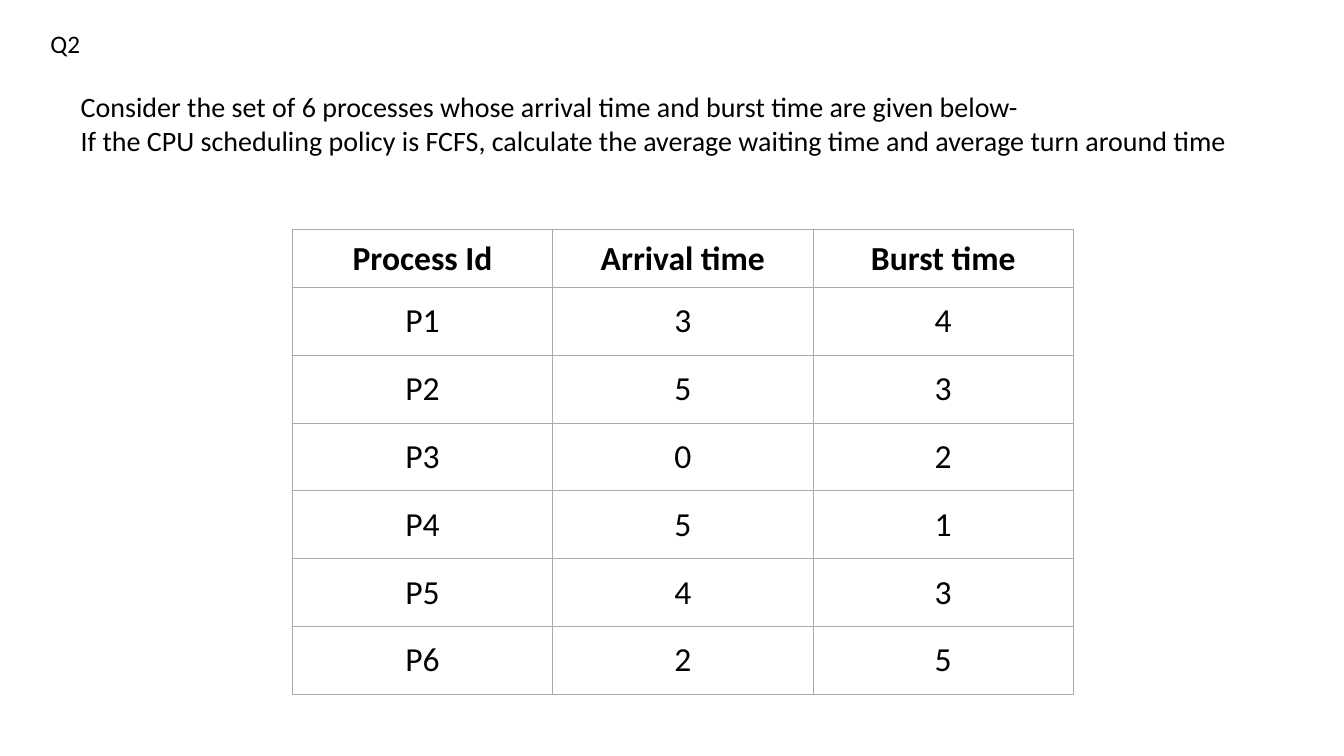
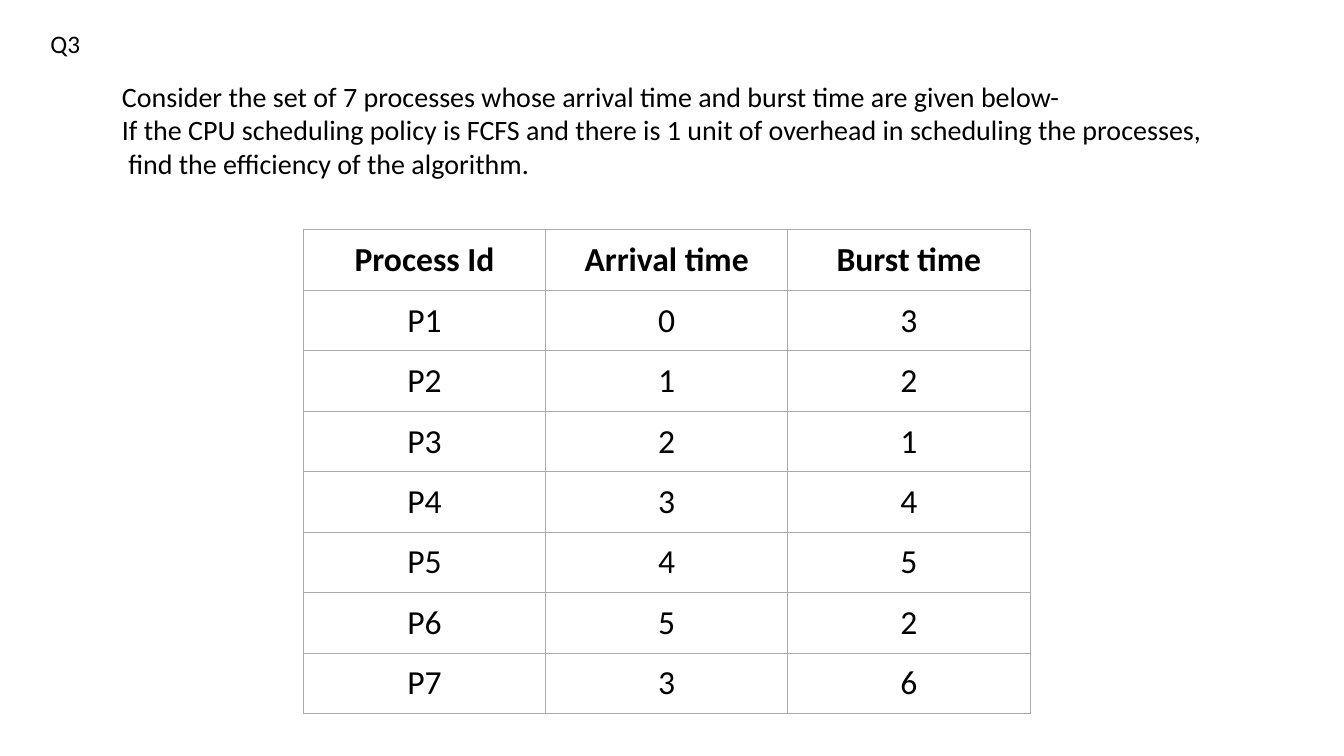
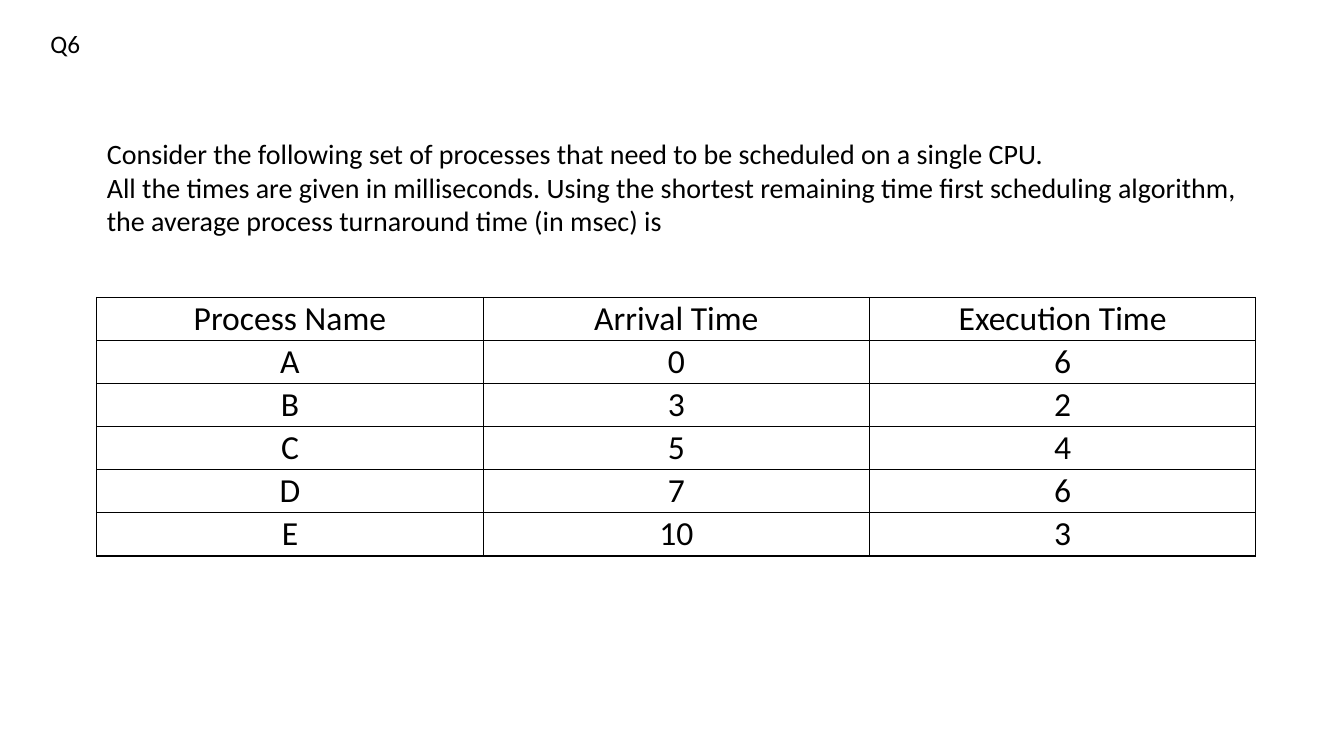
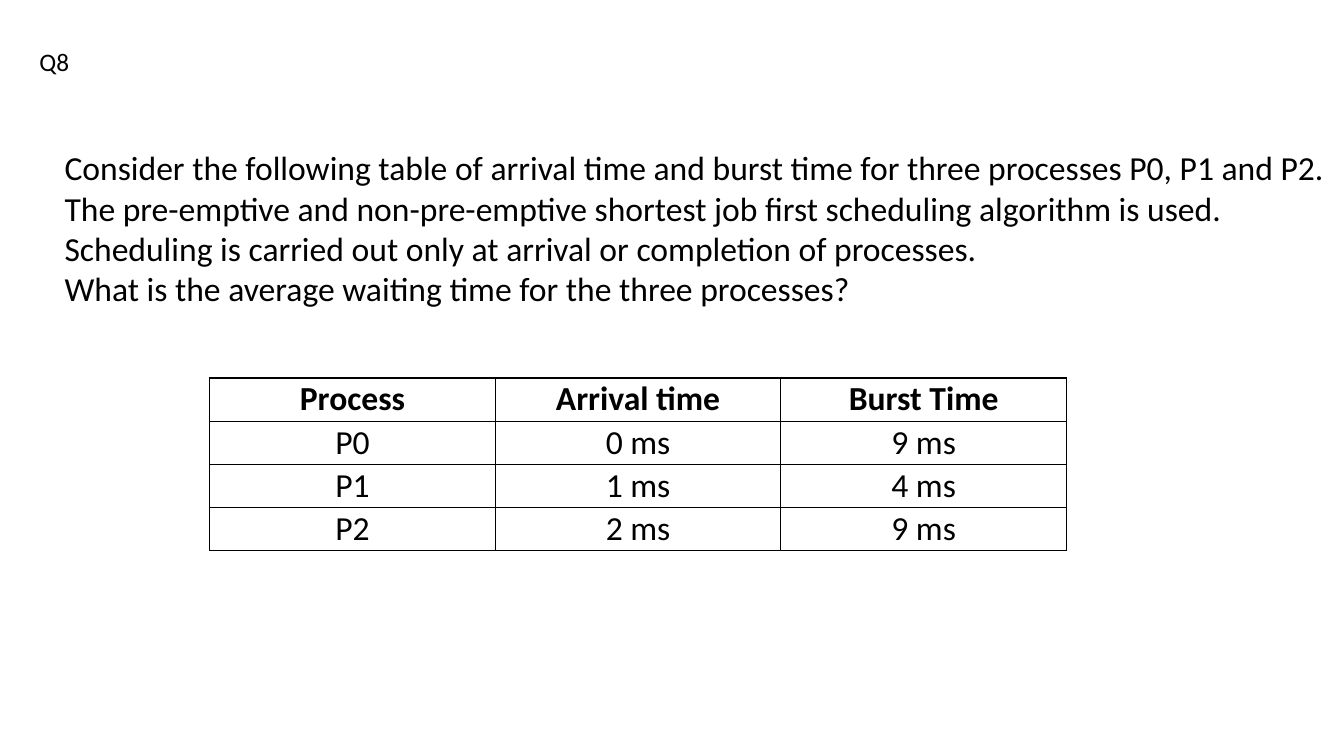
"""Build four CPU scheduling exercise slides."""
from dataclasses import dataclass

from pptx import Presentation
from pptx.dml.color import RGBColor
from pptx.enum.text import MSO_ANCHOR, MSO_AUTO_SIZE, PP_ALIGN
from pptx.oxml.ns import qn
from pptx.util import Pt
from lxml import etree

LEFT, CENTER, JUSTIFY = PP_ALIGN.LEFT, PP_ALIGN.CENTER, PP_ALIGN.JUSTIFY
TOP, MIDDLE = MSO_ANCHOR.TOP, MSO_ANCHOR.MIDDLE
NO_AUTOFIT = MSO_AUTO_SIZE.NONE
TITLE_AND_CONTENT = 1


@dataclass(frozen=True)
class Theme:
    """Colours, font and type sizes shared by all slides."""
    font: str = "Calibri"
    ink: str = "000000"
    paper: str = "FFFFFF"
    rule: str = "AAAAAA"
    label_size: float = 18
    question_size: float = 20
    large_size: float = 24


THEME = Theme()


@dataclass(frozen=True)
class Box:
    """A rectangle in points."""
    left: float
    top: float
    width: float
    height: float


@dataclass(frozen=True)
class GridStyle:
    """Border, fill and cell margins of a table."""
    border: str
    border_width: float
    margin_x: float
    margin_y: float
    filled: bool


ROOMY = GridStyle(THEME.rule, 0.75, 7.2, 5.7, True)
TIGHT = GridStyle(THEME.ink, 1, 0.75, 0.75, False)


@dataclass(frozen=True)
class Grid:
    """A table with equal columns and equal rows below its header."""
    left: float
    top: float
    column_width: float
    header_height: float
    row_height: float
    style: GridStyle
    rows: list[tuple[str, ...]]
    bold_header: bool = True


@dataclass(frozen=True)
class Exercise:
    """The content of one slide."""
    label: str
    question_box: Box
    lines: list[str]
    grid: Grid
    question_size: float = THEME.question_size
    alignment: PP_ALIGN = LEFT
    label_box: Box = Box(28.8, 16.6, 36, 28.8)


def numbered(*values: tuple[int, int]) -> list[tuple[str, ...]]:
    """Return a header and one row for each process, P1 upwards."""
    header = ("Process Id", "Arrival time", "Burst time")
    return [header] + [(f"P{number}", str(arrival), str(burst))
                       for number, (arrival, burst) in enumerate(values, 1)]


EXERCISES = [
    Exercise(
        "Q2", Box(50.4, 60.5, 841.7, 55.4),
        ["Consider the set of 6 processes whose arrival time and burst time are given below-",
         "If the CPU scheduling policy is FCFS, calculate the average waiting time "
         "and average turn around time"],
        Grid(208.8, 164.2, 186, 41, 48.5, ROOMY,
             numbered((3, 4), (5, 3), (0, 2), (5, 1), (4, 3), (2, 5)))),
    Exercise(
        "Q3", Box(79.9, 52.6, 793.4, 79.9),
        ["Consider the set of 7 processes whose arrival time and burst time are given below-",
         "If the CPU scheduling policy is FCFS and there is 1 unit of overhead "
         "in scheduling the processes,",
         " find the efficiency of the algorithm."],
        Grid(216.7, 164.2, 173, 43.2, 43.2, ROOMY,
             numbered((0, 3), (1, 2), (2, 1), (3, 4), (4, 5), (5, 2), (3, 6)))),
    Exercise(
        "Q6", Box(69.1, 93.6, 834.5, 79.9),
        ["Consider the following set of processes that need to be scheduled on a single CPU.",
         "All the times are given in milliseconds. Using the\u00a0shortest remaining time "
         "first\u00a0scheduling algorithm,",
         "the average process turnaround time (in msec) is"],
        Grid(69.1, 212.4, 276, 30.2, 30.2, TIGHT,
             [("Process Name", "Arrival Time", "Execution Time"),
              ("A", "0", "6"), ("B", "3", "2"), ("C", "5", "4"),
              ("D", "7", "6"), ("E", "10", "3")],
             bold_header=False),
        alignment=JUSTIFY),
    Exercise(
        "Q8", Box(38.9, 100.8, 916.6, 123.8),
        ["Consider the following table of arrival time and burst time "
         "for three processes P0, P1 and P2.",
         "The pre-emptive and non-pre-emptive shortest job first scheduling algorithm is used.",
         "Scheduling is carried out only at arrival or completion of processes.",
         "What is the average waiting time for the three processes?"],
        Grid(149.8, 270, 204, 30.2, 30.2, TIGHT,
             [("Process", "Arrival time", "Burst Time"),
              ("P0", "0 ms", "9 ms"), ("P1", "1 ms", "4 ms"), ("P2", "2 ms", "9 ms")]),
        question_size=THEME.large_size, alignment=JUSTIFY,
        label_box=Box(20.9, 29.5, 36, 28.8)),
]


def format_paragraph(para, size: float, alignment: PP_ALIGN, bold: bool = False) -> None:
    """Apply the theme font and plain spacing to a paragraph."""
    para.alignment = alignment
    para.line_spacing = 1.0
    para.space_before = para.space_after = Pt(0)
    for span in para.runs:
        span.font.name = THEME.font
        span.font.size = Pt(size)
        span.font.bold = bold
        span.font.color.rgb = RGBColor.from_string(THEME.ink)


def remove_bullet(para) -> None:
    """Turn off the bullet and hanging indent of a paragraph."""
    properties = para._p.get_or_add_pPr()
    properties.set("marL", "0")
    properties.set("indent", "0")
    etree.SubElement(properties, qn("a:buNone"))


def fill_placeholder(holder, box: Box, lines: list[str], size: float,
                     alignment: PP_ALIGN, anchor: MSO_ANCHOR, wrap: bool) -> None:
    """Move a placeholder and write one paragraph for each line."""
    holder.left, holder.top = Pt(box.left), Pt(box.top)
    holder.width, holder.height = Pt(box.width), Pt(box.height)
    frame = holder.text_frame
    frame.text = "\n".join(lines)
    frame.auto_size = NO_AUTOFIT
    frame.word_wrap = wrap
    frame.vertical_anchor = anchor
    for para in frame.paragraphs:
        format_paragraph(para, size, alignment)
        remove_bullet(para)


def set_borders(cell, style: GridStyle) -> None:
    """Draw a solid line on all four sides of a cell."""
    properties = cell._tc.get_or_add_tcPr()
    for position, side in enumerate(("lnL", "lnR", "lnT", "lnB")):
        line = etree.Element(qn(f"a:{side}"), w=str(Pt(style.border_width)))
        solid = etree.SubElement(line, qn("a:solidFill"))
        etree.SubElement(solid, qn("a:srgbClr"), val=style.border)
        properties.insert(position, line)


def format_cell(cell, text: str, style: GridStyle, bold: bool) -> None:
    """Write and format one table cell."""
    cell.text_frame.text = text
    format_paragraph(cell.text_frame.paragraphs[0], THEME.large_size, CENTER, bold)
    cell.vertical_anchor = MIDDLE
    cell.margin_left = cell.margin_right = Pt(style.margin_x)
    cell.margin_top = cell.margin_bottom = Pt(style.margin_y)
    if style.filled:
        cell.fill.solid()
        cell.fill.fore_color.rgb = RGBColor.from_string(THEME.paper)
    else:
        cell.fill.background()
    set_borders(cell, style)


def add_grid(page, grid: Grid) -> None:
    """Add the process table to a slide."""
    row_count, column_count = len(grid.rows), len(grid.rows[0])
    height = grid.header_height + grid.row_height * (row_count - 1)
    table = page.shapes.add_table(
        row_count, column_count, Pt(grid.left), Pt(grid.top),
        Pt(grid.column_width * column_count), Pt(height)).table
    table.first_row = grid.bold_header
    table.horz_banding = False
    for column in table.columns:
        column.width = Pt(grid.column_width)
    for index, values in enumerate(grid.rows):
        is_header = index == 0
        table.rows[index].height = Pt(grid.header_height if is_header else grid.row_height)
        for cell, text in zip(table.rows[index].cells, values):
            format_cell(cell, text, grid.style, is_header and grid.bold_header)


def add_exercise(deck, exercise: Exercise) -> None:
    """Add one slide with its label, question and table."""
    page = deck.slides.add_slide(deck.slide_layouts[TITLE_AND_CONTENT])
    fill_placeholder(page.shapes.title, exercise.label_box, [exercise.label],
                     THEME.label_size, LEFT, TOP, wrap=False)
    fill_placeholder(page.placeholders[1], exercise.question_box, exercise.lines,
                     exercise.question_size, exercise.alignment, MIDDLE, wrap=True)
    add_grid(page, exercise.grid)


def main() -> None:
    """Build and save the deck."""
    deck = Presentation()
    deck.slide_width, deck.slide_height = Pt(960), Pt(540)
    for exercise in EXERCISES:
        add_exercise(deck, exercise)
    deck.save("out.pptx")


main()
